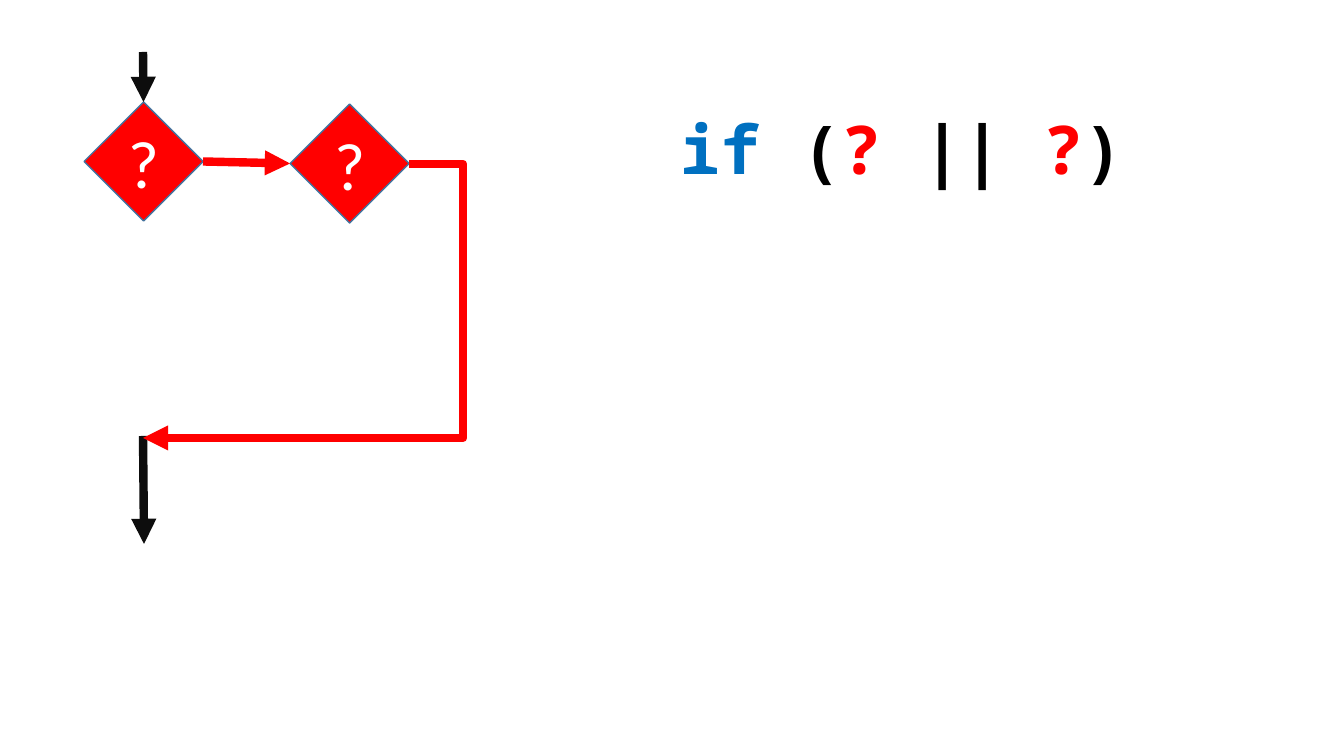
from lxml import etree
from pptx import Presentation
from pptx.dml.color import RGBColor
from pptx.enum.shapes import MSO_CONNECTOR as Connector, MSO_SHAPE as Shape
from pptx.enum.text import MSO_ANCHOR as Anchor, PP_ALIGN as Align
from pptx.oxml.ns import qn
from pptx.util import Emu, Inches, Pt

RED = RGBColor(0xFF, 0x00, 0x00)
BLUE = RGBColor(0x00, 0x70, 0xC0)
OUTLINE = RGBColor(0x43, 0x73, 0x9E)
INK = RGBColor(0x0D, 0x0D, 0x0D)
BLACK = RGBColor(0x00, 0x00, 0x00)
WHITE = RGBColor(0xFF, 0xFF, 0xFF)

PIXELS_PER_INCH = 100.8
TOP_SITE, LEFT_SITE, RIGHT_SITE = 0, 1, 3


def px(pixels):
    return Emu(round(pixels * 914400 / PIXELS_PER_INCH))


class FlowSlide:
    body_font = "Calibri"
    code_font = "Noto Sans Mono"
    text_size = Pt(48)
    arrow_width = Pt(6)
    outline_width = Pt(1)

    def __init__(self, slide):
        self.slide = slide

    def style(self, font, name, color=None, bold=False):
        font.name = name
        font.size = self.text_size
        font.bold = bold
        if color is not None:
            font.color.rgb = color

    def decision(self, left, top, size, text):
        shape = self.slide.shapes.add_shape(
            Shape.DIAMOND, px(left), px(top), px(size), px(size))
        shape.shadow.inherit = False
        shape.fill.solid()
        shape.fill.fore_color.rgb = RED
        shape.line.color.rgb = OUTLINE
        shape.line.width = self.outline_width
        frame = shape.text_frame
        frame.vertical_anchor = Anchor.MIDDLE
        paragraph = frame.paragraphs[0]
        paragraph.text = text
        paragraph.alignment = Align.CENTER
        self.style(paragraph.font, self.body_font, WHITE)
        return shape

    def arrow(self, start, end, color, kind=Connector.STRAIGHT):
        connector = self.slide.shapes.add_connector(
            kind, *map(px, start), *map(px, end))
        connector.line.color.rgb = color
        connector.line.width = self.arrow_width
        properties = connector._element.spPr
        line = properties.find(qn("a:ln"))
        etree.SubElement(line, qn("a:tailEnd"), type="triangle")
        etree.SubElement(properties, qn("a:effectLst"))
        return connector

    def elbow_arrow(self, start, end, turn_x, color):
        connector = self.arrow(start, end, color, Connector.ELBOW)
        share = (turn_x - start[0]) / (end[0] - start[0])
        geometry = connector._element.spPr.find(qn("a:prstGeom"))
        guides = geometry.find(qn("a:avLst"))
        etree.SubElement(guides, qn("a:gd"), name="adj1",
                         fmla=f"val {round(share * 100000)}")
        return connector

    def code(self, left, top, width, height, pieces):
        box = self.slide.shapes.add_textbox(
            px(left), px(top), px(width), px(height))
        box.text_frame.word_wrap = True
        paragraph = box.text_frame.paragraphs[0]
        self.style(paragraph.font, self.code_font, bold=True)
        for text, color in pieces:
            run = paragraph.add_run()
            run.text = text
            run.font.color.rgb = color


presentation = Presentation()
presentation.slide_width = Inches(13.33)
presentation.slide_height = Inches(7.5)
blank_layout = presentation.slide_layouts[6]
flow = FlowSlide(presentation.slides.add_slide(blank_layout))

second = flow.decision(290, 104, 119, "?")
flow.arrow((143, 436), (144, 544), INK)
flow.code(670, 102, 605, 92, [
    ("if", BLUE), (" (", BLACK), ("?", RED),
    (" || ", BLACK), ("?", RED), (")", BLACK)])
first = flow.decision(84, 102, 119, "?")

entry = flow.arrow((143, 52), (143, 102), INK)
entry.end_connect(first, TOP_SITE)
between = flow.arrow((203, 162), (290, 164), RED)
between.begin_connect(first, RIGHT_SITE)
between.end_connect(second, LEFT_SITE)
flow.elbow_arrow((409, 164), (143, 438), 463, RED)

presentation.save("out.pptx")
